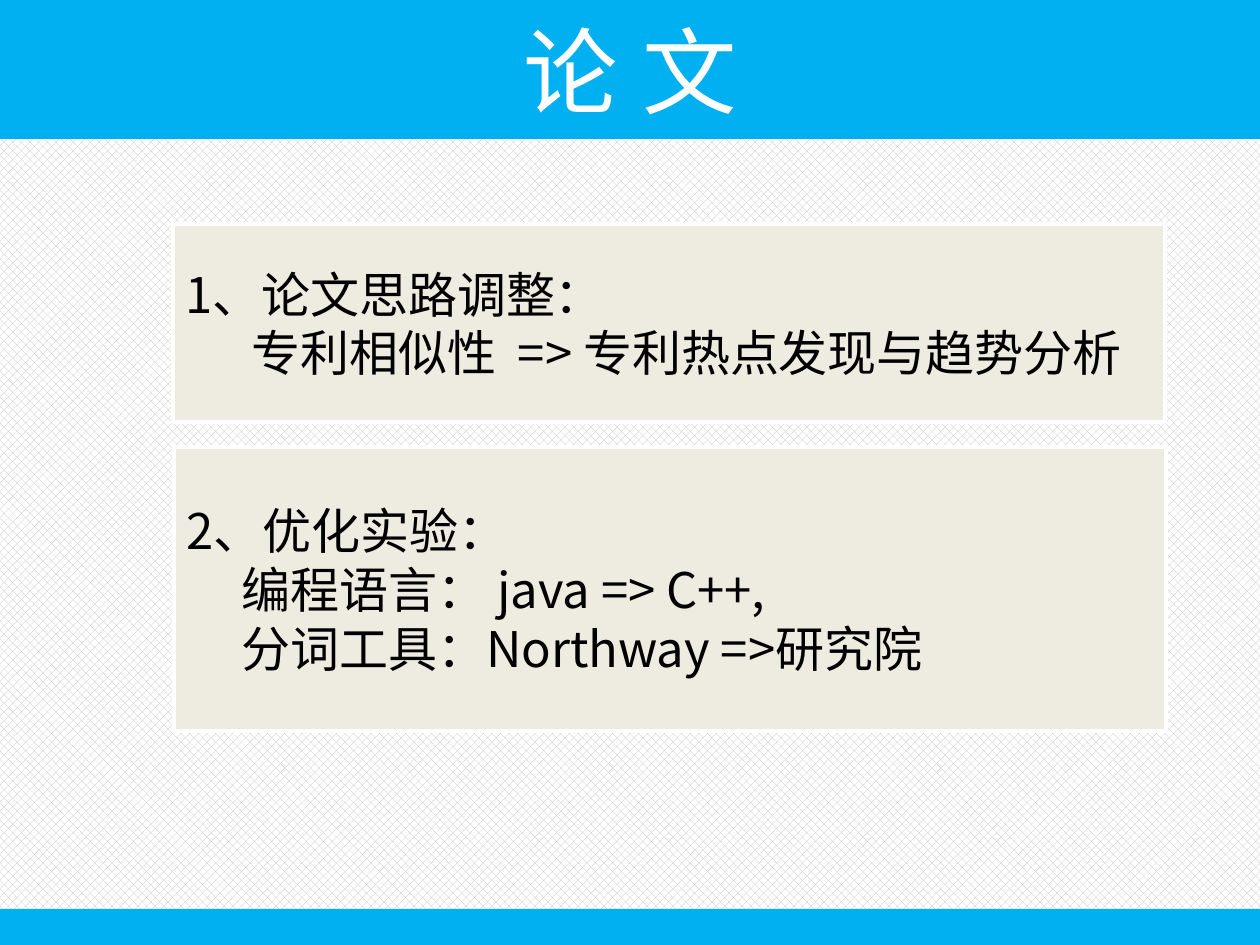
from lxml.etree import SubElement
from pptx import Presentation
from pptx.dml.color import RGBColor
from pptx.enum.dml import MSO_PATTERN as Pattern
from pptx.enum.shapes import MSO_SHAPE as Shape
from pptx.enum.text import MSO_ANCHOR as Anchor, PP_ALIGN as Align
from pptx.oxml.ns import qn
from pptx.util import Pt

PX = 914400 // 126
BLUE, BEIGE, WHITE, BLACK = "00B0F0", "EEECE1", "FFFFFF", "000000"


def color(hex_value):
    """Turn a hex string into a colour."""
    return RGBColor.from_string(hex_value)


def add_text(paragraph, text, size=28, font="Noto Sans CJK SC", fill=BLACK,
             align=Align.LEFT, indent=0, spacing=0):
    """Append a formatted run; indent is in pixels, spacing in points."""
    paragraph.alignment = align
    if indent:
        paragraph._p.get_or_add_pPr().set("marL", str(indent * PX))
    run = paragraph.add_run()
    run.text = text
    run.font.size = Pt(size)
    run.font.name = font
    run.font.color.rgb = color(fill)
    properties = run.font._element
    SubElement(properties, qn("a:ea")).set("typeface", font)
    if spacing:
        properties.set("spc", str(round(spacing * 100)))


def add_panel(slide, box, fill, border=None):
    """Draw a filled rectangle and return it."""
    panel = slide.shapes.add_shape(Shape.RECTANGLE, *(v * PX for v in box))
    panel.shadow.inherit = False
    panel.fill.solid()
    panel.fill.fore_color.rgb = color(fill)
    if border:
        panel.line.color.rgb = color(border)
        panel.line.width = Pt(2)
    else:
        panel.line.fill.background()
    panel.text_frame.word_wrap = True
    panel.text_frame.vertical_anchor = Anchor.MIDDLE
    return panel


def add_header(slide, box, title):
    """Draw the title band."""
    band = add_panel(slide, box, BLUE)
    add_text(band.text_frame.paragraphs[0], title, size=54,
             font="Noto Sans CJK JP", fill=WHITE, align=Align.CENTER, spacing=1)


def add_topic(slide, box, heading, details, indent):
    """Draw a topic panel with a heading and indented detail lines."""
    frame = add_panel(slide, box, BEIGE, WHITE).text_frame
    add_text(frame.paragraphs[0], heading)
    for detail in details:
        line = frame.add_paragraph()
        for text, spacing in detail:
            add_text(line, text, indent=indent, spacing=spacing)


def build_slide(deck):
    """Build the thesis slide."""
    slide = deck.slides.add_slide(deck.slide_layouts[6])
    backdrop = slide.background.fill
    backdrop.patterned()
    backdrop.pattern = Pattern.PERCENT_50
    backdrop.fore_color.rgb = color("BFBFBF")
    backdrop.back_color.rgb = color(WHITE)

    add_header(slide, (0, 0, 1260, 139), "论 文")
    add_panel(slide, (0, 909, 1260, 39), BLUE)
    add_topic(slide, (173, 224, 992, 198), "1、论文思路调整：",
              [[("专利相似性", 0), (" ", 6.3), ("=> 专利热点发现与趋势分析", 0)]],
              indent=66)
    add_topic(slide, (174, 447, 992, 284), "2、优化实验：",
              [[("编程语言： java => C++,", 0)],
               [("分词工具：Northway =>研究院", 0)]],
              indent=55)


deck = Presentation()
deck.slide_width, deck.slide_height = 1260 * PX, 945 * PX
build_slide(deck)
deck.save("out.pptx")
